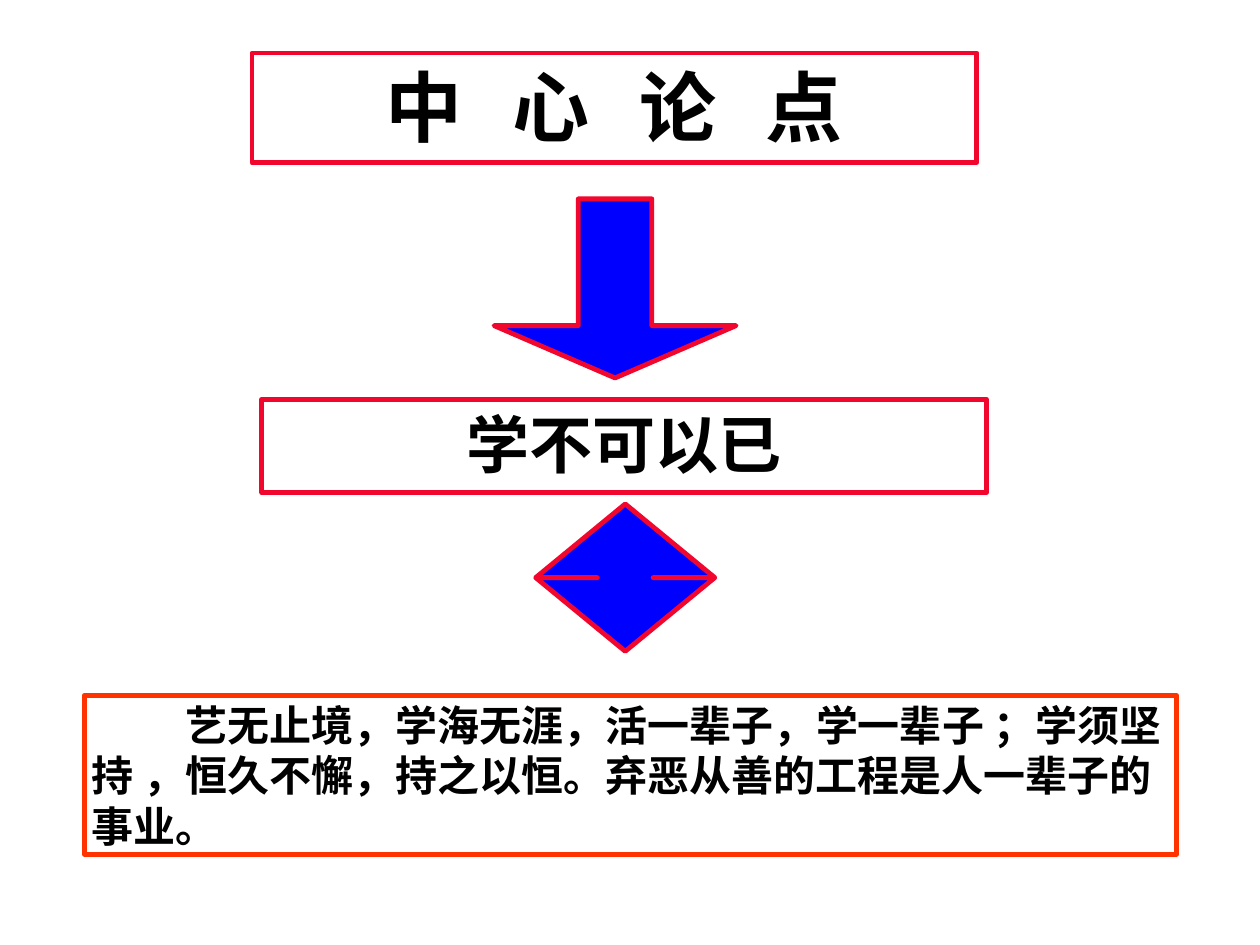
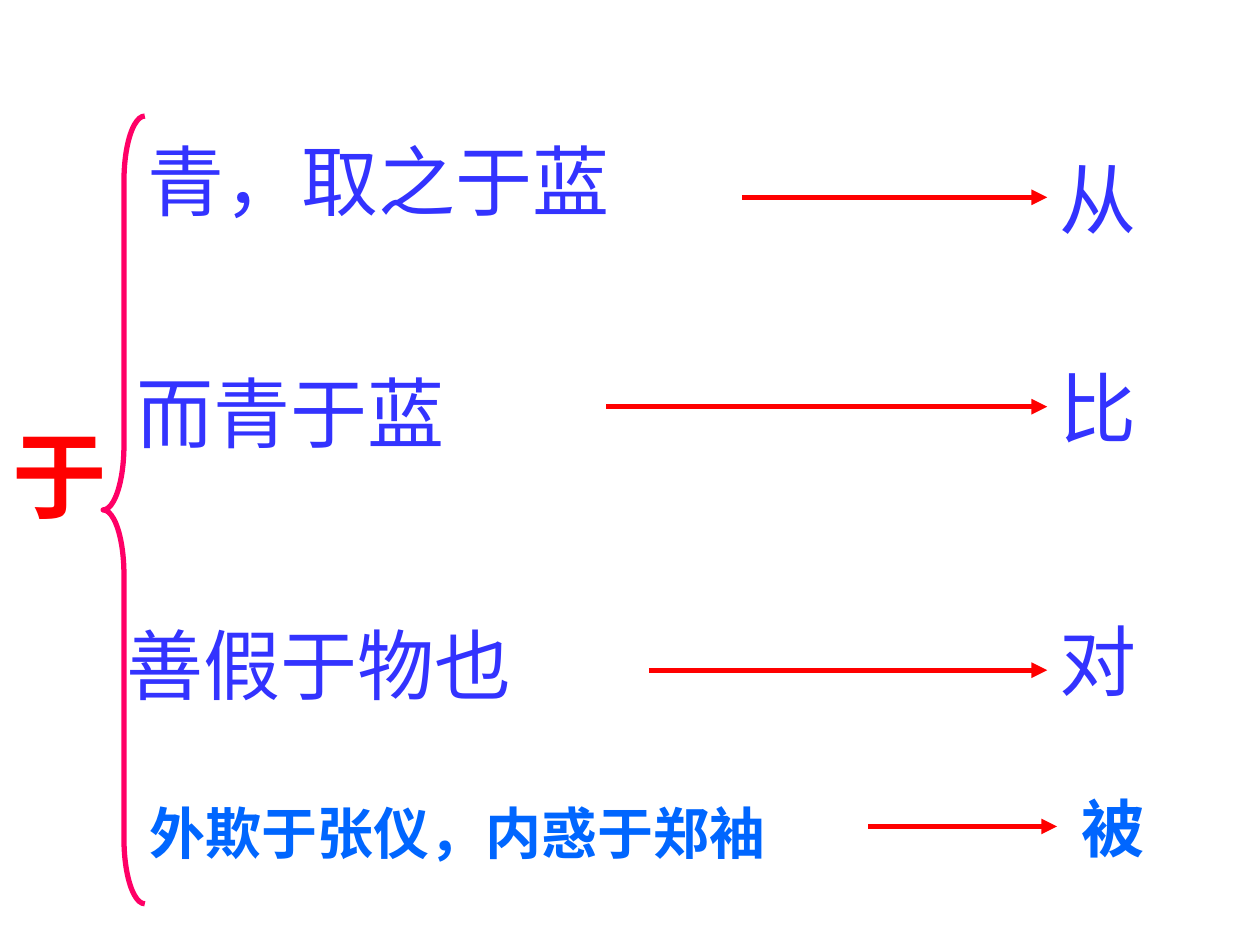
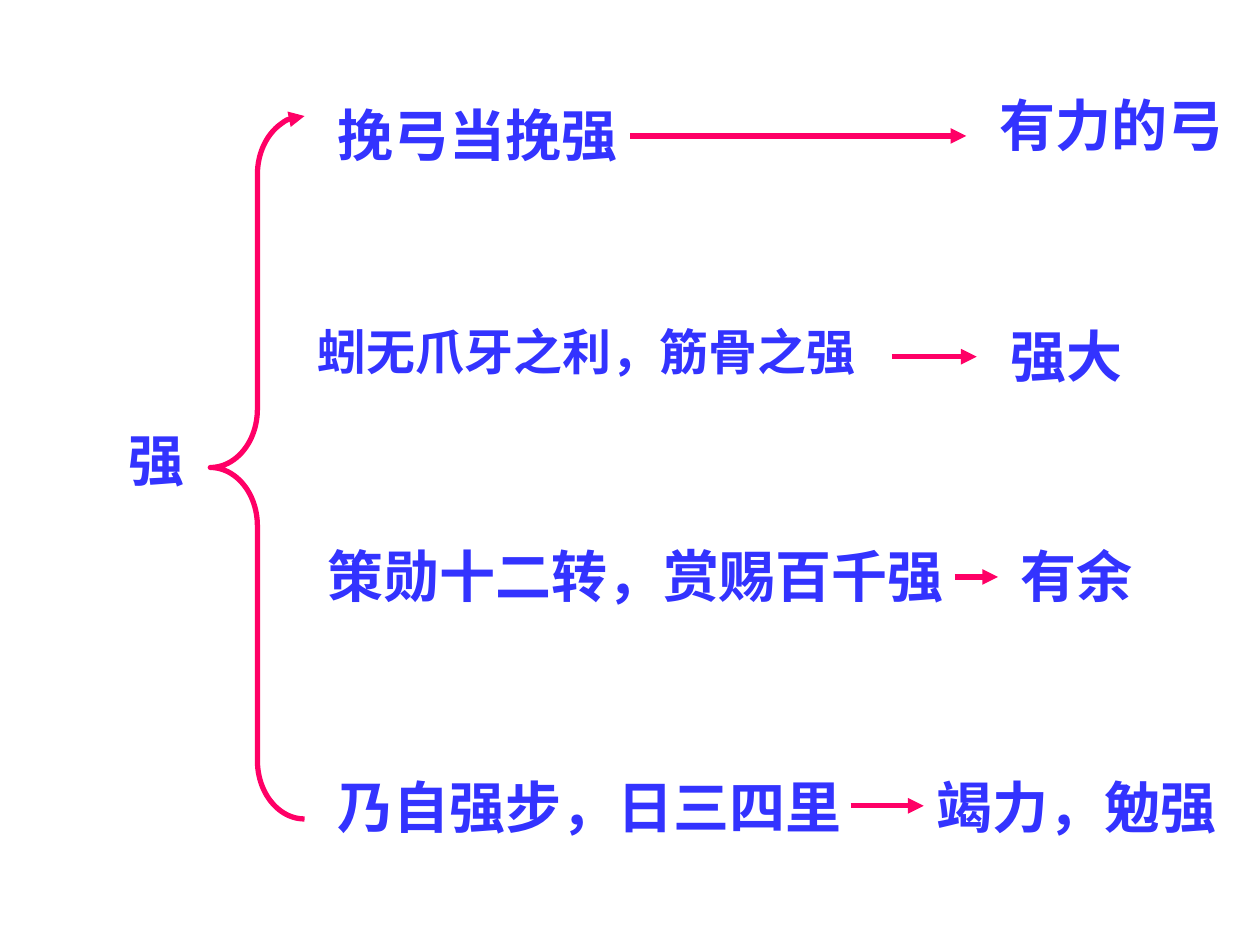
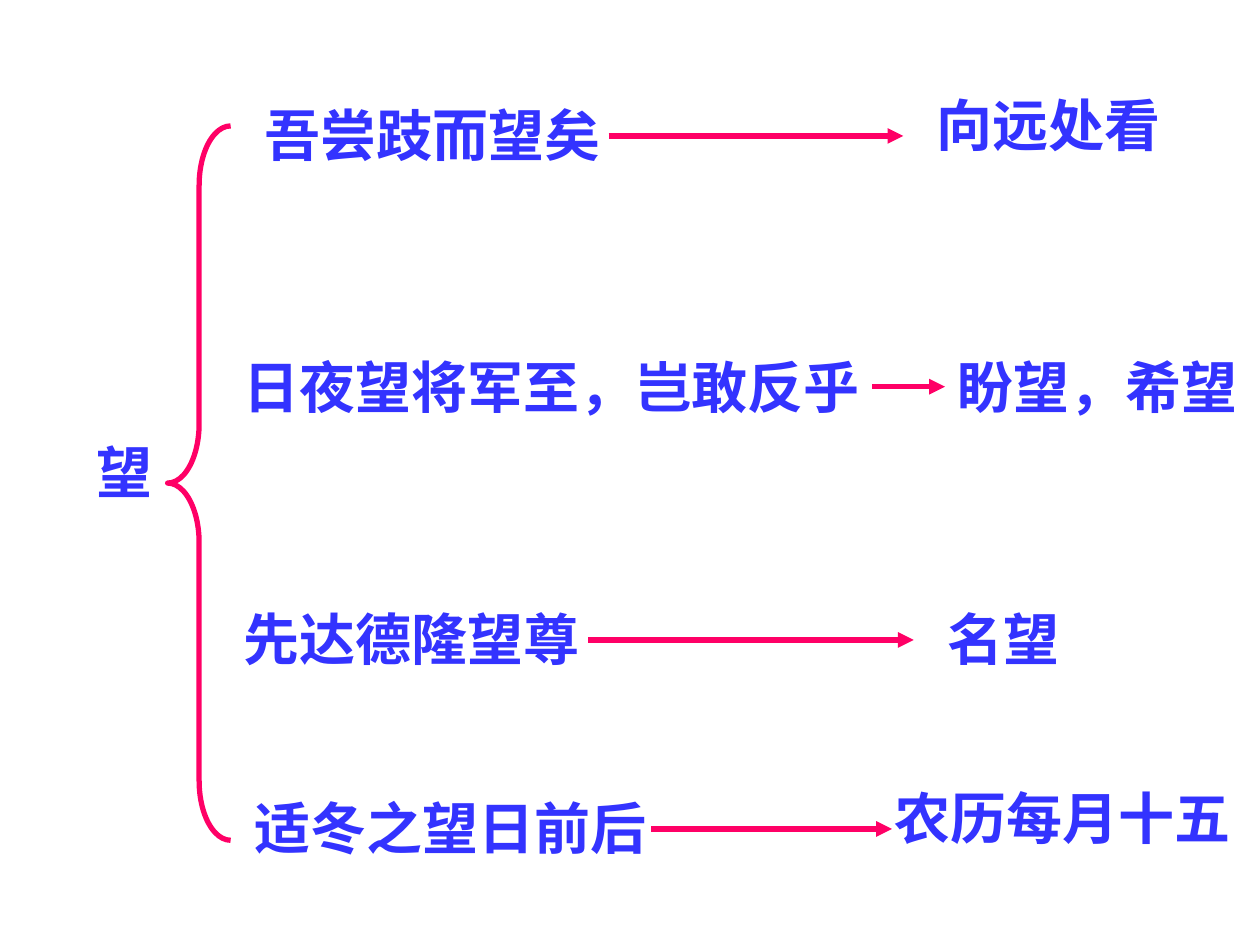
import dataclasses
import pptx
import pptx.dml.color
import pptx.enum.shapes
import pptx.enum.text
import pptx.oxml.ns
import pptx.util
import lxml.etree

Cm = pptx.util.Cm
Pt = pptx.util.Pt
Kind = pptx.enum.shapes.MSO_SHAPE
Align = pptx.enum.text.PP_ALIGN
Anchor = pptx.enum.text.MSO_ANCHOR
Fit = pptx.enum.text.MSO_AUTO_SIZE
qn = pptx.oxml.ns.qn


@dataclasses.dataclass(frozen=True)
class Theme:
    font: str = "Times New Roman"
    black: str = "000000"
    fill: str = "0000FF"
    edge: str = "F1072E"
    warm: str = "FF3300"
    red: str = "FF0000"
    pink: str = "FF0066"
    blue: str = "3333FF"
    sky: str = "0066FF"
    huge: int = 54
    large: int = 44
    big: int = 36
    mid: int = 32
    less: int = 28
    small: int = 24
    frame: float = 2.75
    stroke: float = 3


THEME = Theme()


@dataclasses.dataclass(frozen=True)
class Look:
    size: int = THEME.mid
    color: str = THEME.blue
    bold: bool = True
    wrap: bool = True


PLAIN = Look(THEME.large, bold=False)
BOLD = Look()


def rgb(code):
    return pptx.dml.color.RGBColor.from_string(code)


def write(shape, text, look, align=Align.LEFT):
    frame = shape.text_frame
    frame.word_wrap = look.wrap
    frame.auto_size = Fit.SHAPE_TO_FIT_TEXT
    para = frame.paragraphs[0]
    para.text = text
    para.alignment = align
    font = para.font
    font.name = THEME.font
    font.size = Pt(look.size)
    font.bold = look.bold
    font.color.rgb = rgb(look.color)
    return frame


def label(slide, text, x, y, width, look):
    high = Pt(look.size * 1.2 + 7.2)
    box = slide.shapes.add_textbox(Cm(x), Cm(y), Cm(width), high)
    write(box, text, look)
    return box


def draw(slide, kind, place, line, weight, fill=None, bends=()):
    shape = slide.shapes.add_shape(kind, *map(Cm, place))
    shape.shadow.inherit = False
    if fill:
        shape.fill.solid()
        shape.fill.fore_color.rgb = rgb(fill)
    else:
        shape.fill.background()
    shape.line.color.rgb = rgb(line)
    shape.line.width = Pt(weight)
    for i, bend in enumerate(bends):
        shape.adjustments[i] = bend
    return shape


def panel(slide, text, place, look, align=Align.CENTER, line=THEME.edge):
    shape = draw(slide, Kind.RECTANGLE, place, line, THEME.frame)
    frame = write(shape, text, look, align)
    frame.vertical_anchor = Anchor.TOP
    return frame


def block(slide, kind, place, bends):
    draw(slide, kind, place, THEME.edge, THEME.frame, THEME.fill, bends)


def tip(shape):
    line = shape._element.spPr.get_or_add_ln()
    lxml.etree.SubElement(line, qn("a:tailEnd"), type="triangle")


def arrow(slide, start, end, y, color, goal):
    if y is None:
        high = goal.top + goal.height // 2
    else:
        high = Cm(y)
    straight = pptx.enum.shapes.MSO_CONNECTOR.STRAIGHT
    link = slide.shapes.add_connector(straight, Cm(start), high, Cm(end), high)
    link.line.color.rgb = rgb(color)
    link.line.width = Pt(THEME.stroke)
    tip(link)
    lxml.etree.SubElement(link._element.spPr, qn("a:effectLst"))
    if y is None:
        link.end_connect(goal, 1)


def row(slide, phrase, path, sense, color, look=BOLD, last=None):
    label(slide, *phrase, look)
    goal = label(slide, *sense, last or look)
    arrow(slide, *path, color, goal)


def brace(slide, place, bend):
    return draw(slide, Kind.LEFT_BRACE, place, THEME.pink, THEME.stroke,
                bends=(bend, 0.5))


def thesis(slide):
    head = Look(THEME.large, THEME.black)
    frame = panel(slide, "中 心 论 点", (5.08, 1.07, 14.61, 2.21), head)
    frame.paragraphs[0].runs[0].font._element.set("spc", "930")
    block(slide, Kind.DOWN_ARROW, (9.96, 4.01, 4.88, 3.61), (0.304, 0.292))
    panel(slide, "学不可以已", (5.28, 8.05, 14.61, 1.88),
          Look(THEME.big, THEME.black))
    block(slide, Kind.UP_DOWN_ARROW, (10.8, 10.16, 3.61, 2.97), (0.326, 0.311))
    text = ("艺无止境，学海无涯，活一辈子，学一辈子 ；学须坚持 ，"
            "恒久不懈，持之以恒。弃恶从善的工程是人一辈子的事业。")
    frame = panel(slide, text, (1.7, 14.02, 22.02, 3.2),
                  Look(THEME.small, THEME.black), Align.LEFT, THEME.warm)
    frame.vertical_anchor = Anchor.MIDDLE
    frame.margin_left = frame.margin_right = Cm(0.15)
    frame.margin_top = frame.margin_bottom = Cm(0.03)
    frame.paragraphs[0]._p.get_or_add_pPr().set("indent", str(Cm(1.9)))


def yu(slide):
    rows = [
        (("青，取之于蓝", 2.72, 2.57, 10.16), (14.96, 21.11, None),
         ("从", 21.11, 2.92, 5.51)),
        (("而青于蓝", 2.51, 7.24, 10.36), (12.22, 21.11, None),
         ("比", 21.11, 7.14, 4.65)),
        (("善假于物也", 2.31, 12.32, 9.96), (13.08, 21.11, 13.51),
         ("对", 21.11, 12.24, 3.81)),
    ]
    for parts in rows:
        row(slide, *parts, THEME.red, PLAIN)
    row(slide, ("外欺于张仪，内惑于郑袖", 2.77, 15.98, 12.98),
        (17.5, 21.31, 16.66), ("被", 21.56, 15.8, 1.78), THEME.red,
        Look(THEME.mid, THEME.sky, wrap=False),
        Look(THEME.big, THEME.sky, wrap=False))
    brace(slide, (2.08, 2.34, 0.84, 15.88), 1.562)
    label(slide, "于", 0, 8.28, 2.11, Look(THEME.huge, THEME.red))


def qiang(slide):
    label(slide, "强", 2.34, 8.46, 2.97, BOLD)
    tip(brace(slide, (4.24, 2.34, 1.9, 14.17), 0.62))
    rows = [
        (("挽弓当挽强", 6.55, 1.9, 6.78), (12.7, 19.48, 2.74),
         ("有力的弓", 19.89, 1.7, 5.51), BOLD),
        (("蚓无爪牙之利，筋骨之强", 6.15, 6.35, 12.27), (17.98, 19.69, 7.19),
         ("强大", 20.12, 6.35, 4.45), Look(THEME.less)),
        (("策勋十二转，赏赐百千强", 6.35, 10.8, 13.54), (19.25, 20.12, 11.63),
         ("有余", 20.32, 10.8, 4.45), BOLD),
        (("乃自强步，日三四里", 6.55, 15.44, 11.23), (17.15, 18.62, None),
         ("竭力，勉强", 18.62, 15.44, 6.78), BOLD),
    ]
    for phrase, path, sense, look in rows:
        row(slide, phrase, path, sense, THEME.pink, look, BOLD)


def wang(slide):
    label(slide, "望", 1.7, 8.69, 2.34, BOLD)
    brace(slide, (3.38, 2.54, 1.27, 14.4), 0.944)
    rows = [
        (("吾尝跂而望矣", 5.08, 1.9, 8.46), (12.27, 18.21, 2.74),
         ("向远处看", 18.62, 1.7, 5.51)),
        (("日夜望将军至，岂敢反乎", 4.65, 6.99, 13.34), (17.58, 19.05, None),
         ("盼望，希望", 19.05, 6.99, 9.32)),
        (("先达德隆望尊", 4.65, 12.07, 8.26), (11.86, 18.42, 12.9),
         ("名望", 18.85, 12.07, 5.08)),
        (("适冬之望日前后", 4.88, 15.88, 9.32), (13.13, 17.98, 16.71),
         ("农历每月十五", 17.78, 15.67, 8.89)),
    ]
    for parts in rows:
        row(slide, *parts, THEME.pink)


def main():
    deck = pptx.Presentation()
    deck.slide_width = Cm(25.4)
    deck.slide_height = Cm(19.05)
    for build in (thesis, yu, qiang, wang):
        build(deck.slides.add_slide(deck.slide_layouts[6]))
    deck.save("out.pptx")


if __name__ == "__main__":
    main()
